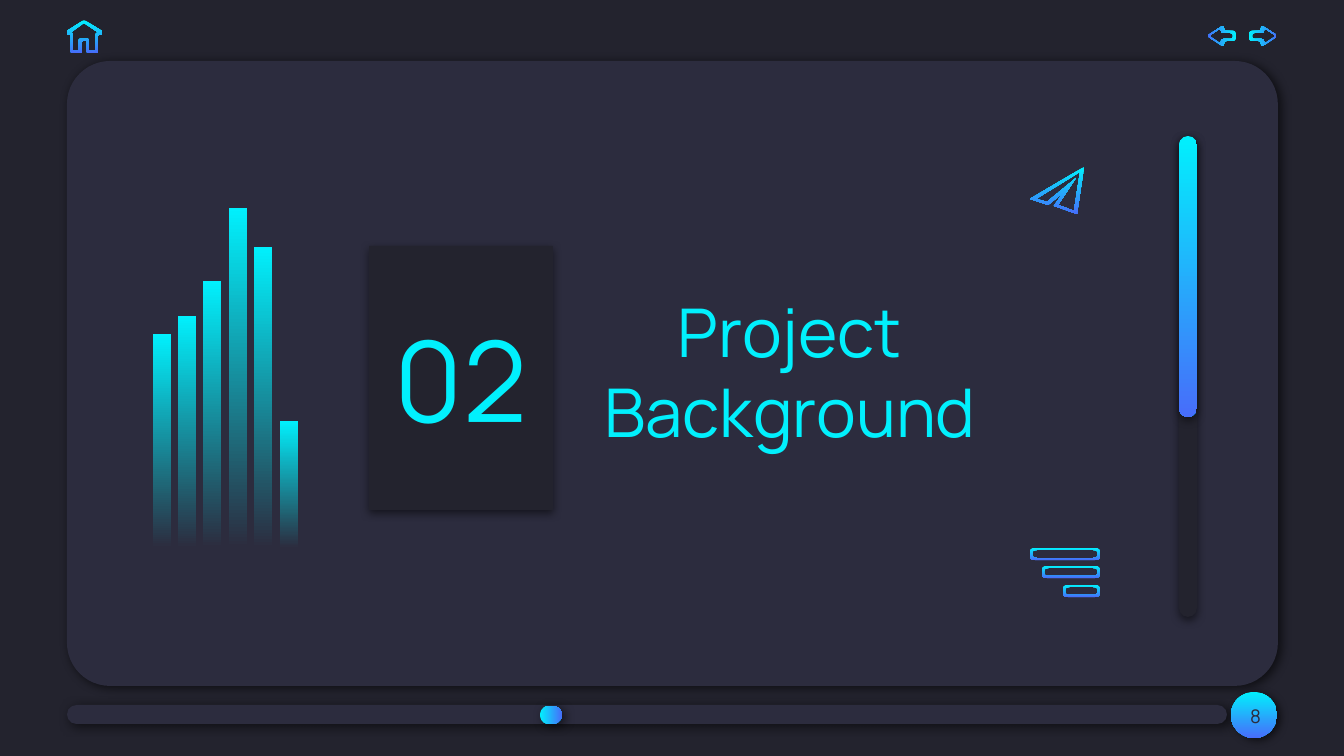
"""Build the section divider slide "Project Background"."""
from collections import namedtuple
from dataclasses import dataclass

from lxml import etree
from pptx import Presentation
from pptx.dml.color import RGBColor
from pptx.enum.shapes import MSO_SHAPE
from pptx.enum.text import MSO_ANCHOR, MSO_AUTO_SIZE, PP_ALIGN
from pptx.oxml.ns import qn
from pptx.util import Emu, Pt

RECTANGLE = MSO_SHAPE.RECTANGLE
ROUNDED = MSO_SHAPE.ROUNDED_RECTANGLE
OVAL = MSO_SHAPE.OVAL
MIDDLE = MSO_ANCHOR.MIDDLE
NO_AUTOFIT = MSO_AUTO_SIZE.NONE
CENTER = PP_ALIGN.CENTER

PAGE_WIDTH, PAGE_HEIGHT = 1344, 756
PX = 9144000 / PAGE_WIDTH
FINE = 10
DOWN, RIGHT, LEFT = 270, 0, 180

Box = namedtuple("Box", "x y width height")
Shadow = namedtuple("Shadow", "alpha blur distance direction")


@dataclass(frozen=True)
class Theme:
    """Colours, type and shadows of the deck."""
    night: str = "23232E"
    panel: str = "2C2C3E"
    cyan: str = "01F0FD"
    blue: str = "476DFA"
    font: str = "Manrope"
    title_size: int = 36
    number_size: int = 60
    page_size: int = 10
    raised: Shadow = Shadow(60, 5.6, 2.2, 33)
    badge: Shadow = Shadow(60, 4.5, 2.2, 33)
    inset: Shadow = Shadow(50, 4.5, 1.5, 90)


THEME = Theme()
GLOW = (THEME.cyan, THEME.blue)
FADE = (THEME.cyan, THEME.panel)

HOME = [
    [(17, 0), (0, 11), (0, 15), (4, 15), (4, 33), (15, 33), (15, 21), (20, 21),
     (20, 33), (31, 33), (31, 15), (35, 15), (35, 11)],
    [(17, 3), (3, 13), (6, 13), (6, 31), (12, 31), (12, 19), (22, 19), (22, 31),
     (29, 31), (29, 13), (32, 13)],
]
ARROW = [
    [(0, 6), (12, 6), (12, 0), (29, 11), (12, 22), (12, 16), (0, 16)],
    [(3, 8), (15, 8), (15, 3), (27, 11), (15, 19), (15, 14), (3, 14)],
]
PAPER_PLANE = [
    [(54, 0), (0, 32), (18, 38), (33, 26), (24, 39), (47, 47)],
    [(50, 5), (44, 44), (28, 38), (46, 11), (17, 35), (6, 32)],
]


def px(length):
    """Turn pixels into EMU."""
    return Emu(round(length * PX))


def paint(shape, fill, angle=DOWN, shadow=None):
    """Give a shape a solid or two-stop fill, no line and an optional shadow."""
    if isinstance(fill, str):
        shape.fill.solid()
        shape.fill.fore_color.rgb = RGBColor.from_string(fill)
    else:
        shape.fill.gradient()
        shape.fill.gradient_angle = angle
        for stop, color in zip(shape.fill.gradient_stops, fill):
            stop.color.rgb = RGBColor.from_string(color)
    shape.line.fill.background()
    shape.shadow.inherit = False
    if shadow:
        effects = shape._element.spPr.find(qn("a:effectLst"))
        outer = etree.SubElement(
            effects, qn("a:outerShdw"), blurRad=str(Pt(shadow.blur)),
            dist=str(Pt(shadow.distance)), dir=str(shadow.direction * 60000),
            algn="bl", rotWithShape="0")
        color = etree.SubElement(outer, qn("a:srgbClr"), val="000000")
        etree.SubElement(color, qn("a:alpha"), val=str(shadow.alpha * 1000))


def add_preset(page, kind, box, fill, angle=DOWN, shadow=None, corner=0.5):
    """Add a painted preset shape."""
    shape = page.shapes.add_shape(kind, *map(px, box))
    if kind == ROUNDED:
        shape.adjustments[0] = corner
    paint(shape, fill, angle, shadow)


def write(shape, box, text, size, color):
    """Place a text shape and fill it with one centred paragraph."""
    for name, value in zip(("left", "top", "width", "height"), box):
        setattr(shape, name, px(value))
    frame = shape.text_frame
    frame.text = text
    margins = {f"margin_{side}": Pt(7.2) for side in ("left", "top", "right", "bottom")}
    layout = {"word_wrap": True, "auto_size": NO_AUTOFIT, "vertical_anchor": MIDDLE}
    for name, value in {**margins, **layout}.items():
        setattr(frame, name, value)
    para = frame.paragraphs[0]
    para.alignment, para.space_before = CENTER, Pt(0)
    font = para.runs[0].font
    for name, value in {"name": THEME.font, "size": Pt(size), "bold": False}.items():
        setattr(font, name, value)
    font.color.rgb = RGBColor.from_string(color)


def soften(points, radius):
    """Round every corner of a polygon with a short quadratic curve."""
    curve = []
    for index, (x, y) in enumerate(points):
        ends = []
        for other_x, other_y in (points[index - 1], points[(index + 1) % len(points)]):
            length = ((other_x - x) ** 2 + (other_y - y) ** 2) ** 0.5
            part = min(radius / length, 0.5)
            ends.append((x + (other_x - x) * part, y + (other_y - y) * part))
        (ax, ay), (bx, by) = ends
        for t in (0, 0.25, 0.5, 0.75, 1):
            a, c, b = (1 - t) ** 2, 2 * t * (1 - t), t * t
            curve.append((a * ax + c * x + b * bx, a * ay + c * y + b * by))
    return curve


def add_icon(page, x, y, contours, radius=0, angle=DOWN):
    """Draw an outline icon from an outer and an inner contour."""
    builder = None
    for contour in contours:
        points = soften(contour, radius) if radius else contour
        points = [(px_x * FINE, px_y * FINE) for px_x, px_y in points]
        if builder is None:
            builder = page.shapes.build_freeform(*points[0], scale=PX / FINE)
        else:
            builder.move_to(*points[0])
        builder.add_line_segments(points[1:], close=True)
    paint(builder.convert_to_shape(px(x), px(y)), GLOW, angle)


def add_navigation(page, box):
    """Place the home icon on the left and both arrows on the right."""
    add_icon(page, box.x, box.y, HOME, 1)
    right = box.x + box.width
    mirrored = [[(28 - x, y) for x, y in contour] for contour in ARROW]
    add_icon(page, right - 28, box.y + 5, ARROW, 3, RIGHT)
    add_icon(page, right - 69, box.y + 5, mirrored, 3, LEFT)


def add_progress(page, box, knob_offset, number):
    """Draw the progress track with its knob and the page number badge."""
    track = Box(box.x, box.y + 13, box.width - 50, 19)
    add_preset(page, ROUNDED, track, THEME.panel, shadow=THEME.raised)
    knob = Box(box.x + knob_offset, box.y + 14, 22, 18)
    add_preset(page, ROUNDED, knob, GLOW, RIGHT, THEME.raised)
    badge = Box(box.x + box.width - 46, box.y, 46, 46)
    add_preset(page, OVAL, badge, GLOW, shadow=THEME.badge)
    label = Box(badge.x - 16, badge.y - 5, 81, 58)
    write(page.shapes.add_textbox(0, 0, 0, 0), label, number, THEME.page_size, THEME.panel)


def add_scrollbar(page, box, filled):
    """Draw the vertical track and its filled part."""
    add_preset(page, ROUNDED, box, THEME.night, shadow=THEME.inset)
    add_preset(page, ROUNDED, box._replace(height=filled), GLOW, shadow=THEME.inset)


def add_bars(page, box, heights):
    """Draw evenly spaced fading bars standing on the bottom of the box."""
    width = 18
    for index, height in enumerate(heights):
        x = box.x + (box.width - width) * index // (len(heights) - 1)
        bar = Box(x, box.y + box.height - height, width, height)
        add_preset(page, RECTANGLE, bar, FADE)


def add_menu(page, box, widths):
    """Draw right-aligned outlined pills, evenly spread down the box."""
    height = 12
    for index, width in enumerate(widths):
        y = box.y + (box.height - height) * index // (len(widths) - 1)
        ring = [[(i, i), (width - i, i), (width - i, height - i), (i, height - i)]
                for i in (0, 2)]
        add_icon(page, box.x + box.width - width, y, ring, 5)


def add_heading(page, box, number, title):
    """Place the number card and the section title side by side."""
    title_box = Box(box.x + 182, box.y + 35, box.width - 182, 179)
    write(page.shapes.title, title_box, title, THEME.title_size, THEME.cyan)
    card = page.placeholders[1]
    write(card, Box(box.x, box.y, 184, box.height), number, THEME.number_size, THEME.cyan)
    paint(card, THEME.night, shadow=THEME.inset)


def build_section(deck):
    """Add the section divider slide."""
    page = deck.slides.add_slide(deck.slide_layouts[0])
    page.background.fill.solid()
    page.background.fill.fore_color.rgb = RGBColor.from_string(THEME.night)
    panel = Box(67, 61, 1211, 625)
    add_preset(page, ROUNDED, panel, THEME.panel, shadow=THEME.raised, corner=0.069)
    for placeholder in list(page.placeholders):
        page.shapes._spTree.append(placeholder._element)
    add_progress(page, Box(67, 692, 1210, 46), 473, "8")
    add_scrollbar(page, Box(1179, 136, 18, 481), 281)
    add_heading(page, Box(369, 246, 660, 264), "02", "Project Background")
    add_navigation(page, Box(67, 20, 1210, 33))
    add_bars(page, Box(153, 208, 145, 340), (214, 232, 267, 340, 301, 127))
    add_menu(page, Box(1030, 548, 70, 49), (70, 58, 37))
    add_icon(page, 1030, 167, PAPER_PLANE)


def main():
    """Create the deck and save it."""
    deck = Presentation()
    deck.slide_width, deck.slide_height = px(PAGE_WIDTH), px(PAGE_HEIGHT)
    build_section(deck)
    deck.save("out.pptx")


if __name__ == "__main__":
    main()
